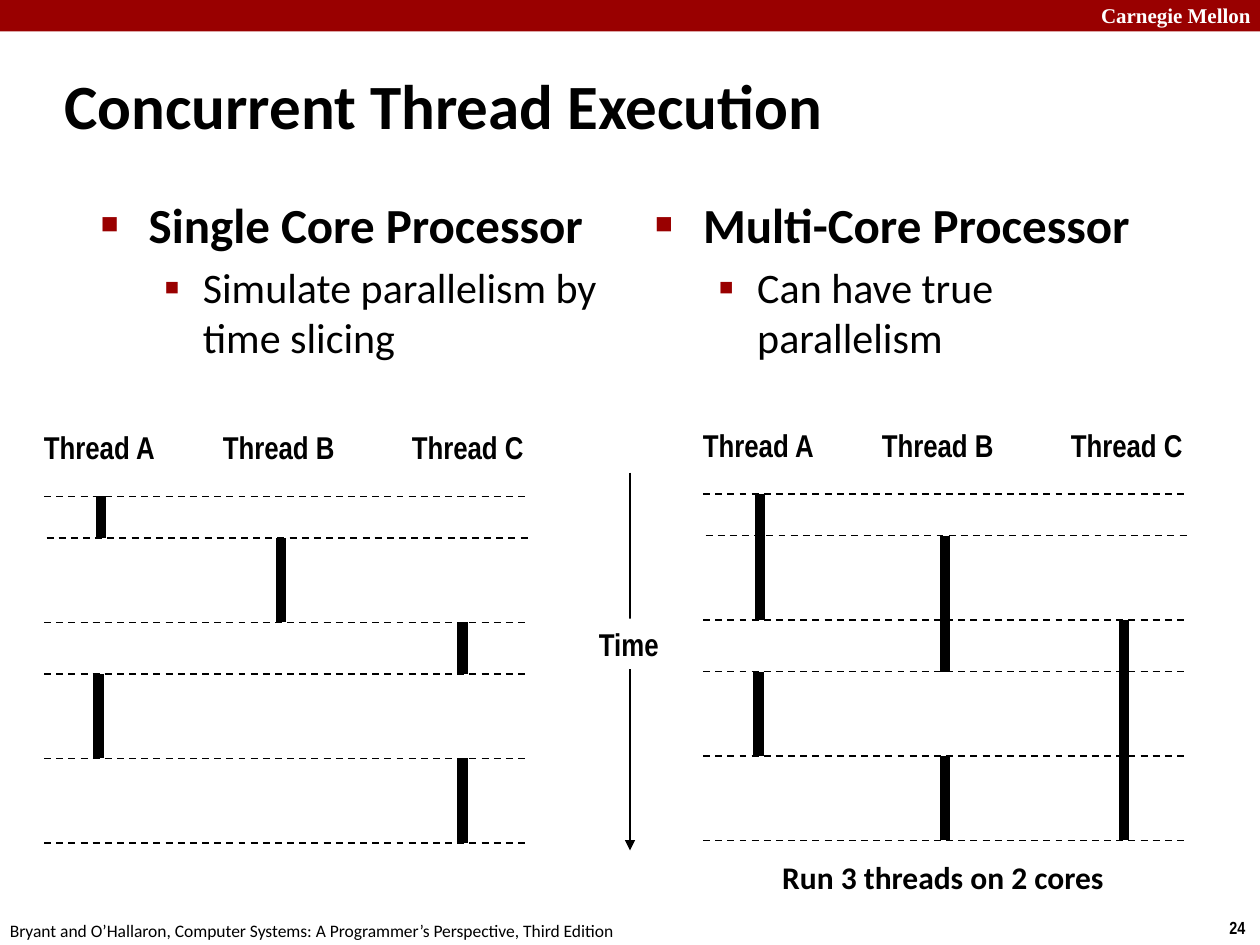
from lxml import etree
from pptx import Presentation
from pptx.dml.color import RGBColor
from pptx.enum.dml import MSO_LINE
from pptx.enum.shapes import MSO_CONNECTOR, MSO_SHAPE
from pptx.enum.text import MSO_ANCHOR, MSO_AUTO_SIZE, PP_ALIGN
from pptx.oxml.ns import qn
from pptx.util import Inches, Pt

COLORS = {name: RGBColor.from_string(value) for name, value in
          {"red": "990000", "black": "000000", "white": "FFFFFF"}.items()}

prs = Presentation()
prs.slide_width, prs.slide_height = Inches(10), Inches(7.5)
slide = prs.slides.add_slide(prs.slide_layouts[3])


def add_label(text, left, top, width, height, size, font="Arial Narrow",
              bold=True, color="black"):
    label = slide.shapes.add_textbox(Inches(left), Inches(top), Inches(width), Inches(height))
    label.text_frame.text = text
    label.text_frame.word_wrap = False
    run_font = label.text_frame.paragraphs[0].runs[0].font
    run_font.name, run_font.size, run_font.bold = font, Pt(size), bold
    run_font.color.rgb = COLORS[color]
    return label


def add_line(x1, y1, x2, y2, width=1):
    line = slide.shapes.add_connector(
        MSO_CONNECTOR.STRAIGHT, Inches(x1), Inches(y1), Inches(x2), Inches(y2))
    line.line.color.rgb = COLORS["black"]
    line.line.width = Pt(width)
    etree.SubElement(line._element.spPr, qn("a:effectLst"))
    return line


# Header band and footer
band = slide.shapes.add_shape(MSO_SHAPE.RECTANGLE, 0, 0, Inches(10), Inches(0.25))
band.shadow.inherit = False
band.fill.solid()
band.fill.fore_color.rgb = COLORS["red"]
band.line.fill.background()
add_label("Carnegie Mellon", 8.64, -0.03, 1.43, 0.3, 12, "Times New Roman", color="white")
add_label("24", 9.66, 7.23, 0.34, 0.27, 10)
add_label("Bryant and O’Hallaron, Computer Systems: A Programmer’s Perspective, Third Edition",
          -0.02, 7.25, 5.08, 0.27, 10, "Calibri", bold=False)

# Title
title = slide.shapes.title
title.left, title.top, title.width, title.height = map(Inches, (0.41, 0.41, 8.3, 0.83))
title.text_frame.text = "Concurrent Thread Execution"
title.text_frame.auto_size = MSO_AUTO_SIZE.NONE
title.text_frame.vertical_anchor = MSO_ANCHOR.MIDDLE
heading = title.text_frame.paragraphs[0]
heading.alignment = PP_ALIGN.LEFT
heading_font = heading.runs[0].font
heading_font.name, heading_font.size, heading_font.bold = "Calibri", Pt(36), True
heading_font.color.rgb = COLORS["black"]

# Processor lists: size, bold, left margin, indent, bullet, bullet percent
LEVELS = [(28, True, 0.38, -0.38, "■", 60), (24, False, 0.81, -0.31, "▪", 110)]
processors = [
    (1, 0.7, ["Single Core Processor", "Simulate parallelism by time slicing"]),
    (2, 5.1, ["Multi-Core Processor", "Can have true parallelism"]),
]
for idx, left, points in processors:
    body = slide.placeholders[idx]
    body.left, body.top, body.width, body.height = map(Inches, (left, 1.49, 4.23, 5.44))
    body.text_frame.text = "\n".join(points)
    body.text_frame.auto_size = MSO_AUTO_SIZE.NONE
    for level, point in enumerate(body.text_frame.paragraphs):
        size, bold, margin, indent, bullet, percent = LEVELS[level]
        point.level = level
        point.space_before = Pt(0.2 * size if level else 0)
        props = point._p.get_or_add_pPr()
        props.set("marL", str(Inches(margin)))
        props.set("indent", str(Inches(indent)))
        bullet_color = etree.SubElement(props, qn("a:buClr"))
        etree.SubElement(bullet_color, qn("a:srgbClr"), val=str(COLORS["red"]))
        etree.SubElement(props, qn("a:buSzPct"), val=str(percent * 1000))
        etree.SubElement(props, qn("a:buChar"), char=bullet)
        point_font = point.runs[0].font
        point_font.name, point_font.size, point_font.bold = "Calibri", Pt(size), bold
        point_font.color.rgb = COLORS["black"]

# Time axis
axis = add_line(5, 3.75, 5, 6.75)
etree.SubElement(axis.line._get_or_add_ln(), qn("a:tailEnd"), type="triangle")
time_label = add_label("Time", 4.65, 4.91, 0.68, 0.4, 18)
time_label.text_frame.paragraphs[0].alignment = PP_ALIGN.CENTER
time_label.fill.solid()
time_label.fill.fore_color.rgb = COLORS["white"]

# Thread timelines: each run is (x, first time step, last time step)
STEPS = [3.94, 4.27, 4.94, 5.35, 6.02, 6.69]
THREADS = [("Thread A", 0.25), ("Thread B", 1.67), ("Thread C", 3.17)]
timelines = [
    (0, 0, [(0.8, 0, 1), (2.23, 1, 2), (3.67, 2, 3), (0.78, 3, 4), (3.67, 4, 5)]),
    (5.23, -0.02, [(6.03, 0, 2), (7.5, 1, 3), (8.92, 2, 5), (6.02, 3, 4), (7.5, 4, 5)]),
]
for dx, dy, thread_runs in timelines:
    for name, left in THREADS:
        add_label(name, left + dx, 3.35 + dy, 1.1, 0.4, 18)
    for x, first, last in thread_runs:
        add_line(x, STEPS[first] + dy, x, STEPS[last] + dy, 6)
    for number, step in enumerate(STEPS):
        start = dx + (0.37 if number == 1 else 0.35)
        boundary = add_line(start, step + dy, start + 3.82, step + dy)
        boundary.line.dash_style = MSO_LINE.DASH

add_label("Run 3 threads on 2 cores", 6.11, 6.76, 2.78, 0.4, 18, "Calibri")

prs.save("out.pptx")
